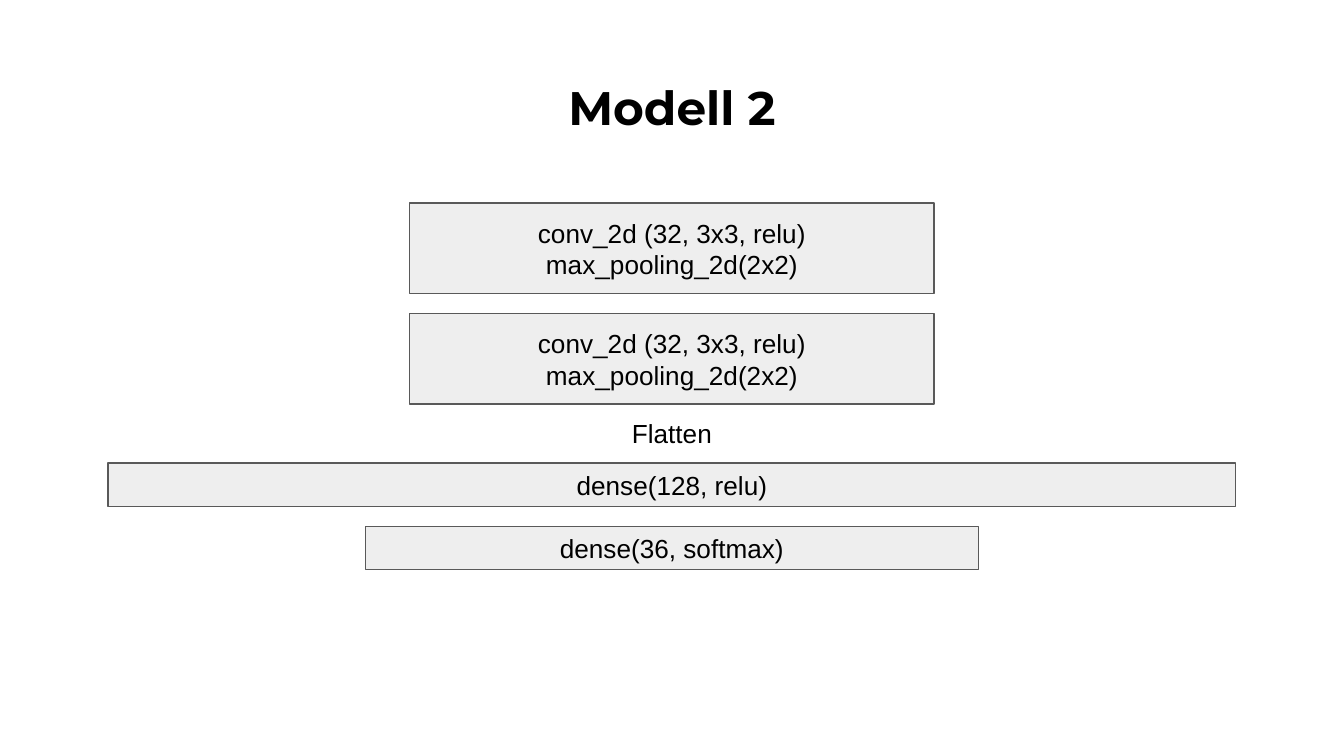
from dataclasses import dataclass

from pptx import Presentation
from pptx.dml.color import RGBColor
from pptx.enum.shapes import MSO_SHAPE
from pptx.enum.text import MSO_ANCHOR, PP_ALIGN
from pptx.util import Cm, Pt

RECT = MSO_SHAPE.RECTANGLE
TOP, MIDDLE = MSO_ANCHOR.TOP, MSO_ANCHOR.MIDDLE
CENTER = PP_ALIGN.CENTER


@dataclass(frozen=True)
class Theme:
    text: RGBColor = RGBColor(0x00, 0x00, 0x00)
    fill: RGBColor = RGBColor(0xEE, 0xEE, 0xEE)
    line: RGBColor = RGBColor(0x59, 0x59, 0x59)
    title_font: str = "Montserrat"
    body_font: str = "Arial"
    title_size: float = 25.2
    body_size: float = 14


THEME = Theme()

# Dimensions in centimetres
SLIDE_W, SLIDE_H = 25.4, 14.29
INSET = 0.25
GAP = 0.38
CONV_W, CONV_H = 9.91, 1.71
DENSE_H = 0.82
FLATTEN_W, FLATTEN_H = 8.33, 1.11
STACK_TOP = 3.84

CONV_TEXT = "conv_2d (32, 3x3, relu)\nmax_pooling_2d(2x2)"


def set_text(sp, text, font, size, anchor, bold=False):
    tf = sp.text_frame
    tf.text = text
    tf.word_wrap = True
    tf.vertical_anchor = anchor
    tf.margin_left = tf.margin_right = Cm(INSET)
    tf.margin_top = tf.margin_bottom = Cm(INSET)
    for p in tf.paragraphs:
        p.alignment = CENTER
        for r in p.runs:
            r.font.name = font
            r.font.size = Pt(size)
            r.font.bold = bold
            r.font.color.rgb = THEME.text


def centered(top, width, height):
    return Cm((SLIDE_W - width) / 2), Cm(top), Cm(width), Cm(height)


def add_title(s, text):
    sp = s.shapes.title
    sp.left, sp.top, sp.width, sp.height = centered(1.24, 23.67, 1.6)
    set_text(sp, text, THEME.title_font, THEME.title_size, TOP, bold=True)


def add_layer(s, text, top, width, height):
    sp = s.shapes.add_shape(RECT, *centered(top, width, height))
    sp.shadow.inherit = False
    sp.fill.solid()
    sp.fill.fore_color.rgb = THEME.fill
    sp.line.color.rgb = THEME.line
    sp.line.width = Pt(0.75)
    set_text(sp, text, THEME.body_font, THEME.body_size, MIDDLE)


def add_label(s, text, top, width, height):
    sp = s.shapes.add_textbox(*centered(top, width, height))
    set_text(sp, text, THEME.body_font, THEME.body_size, TOP)


def main():
    prs = Presentation()
    prs.slide_width, prs.slide_height = Cm(SLIDE_W), Cm(SLIDE_H)
    s = prs.slides.add_slide(prs.slide_layouts[5])
    add_title(s, "Modell 2")

    # Network layers from top to bottom: add, text, width, height, gap below
    stack = [
        (add_layer, CONV_TEXT, CONV_W, CONV_H, GAP),
        (add_layer, CONV_TEXT, CONV_W, CONV_H, 0),
        (add_label, "Flatten", FLATTEN_W, FLATTEN_H, 0),
        (add_layer, "dense(128, relu)", 21.31, DENSE_H, GAP),
        (add_layer, "dense(36, softmax)", 11.58, DENSE_H, 0),
    ]
    top = STACK_TOP
    for add, text, width, height, gap in stack:
        add(s, text, top, width, height)
        top += height + gap

    prs.save("out.pptx")


if __name__ == "__main__":
    main()
